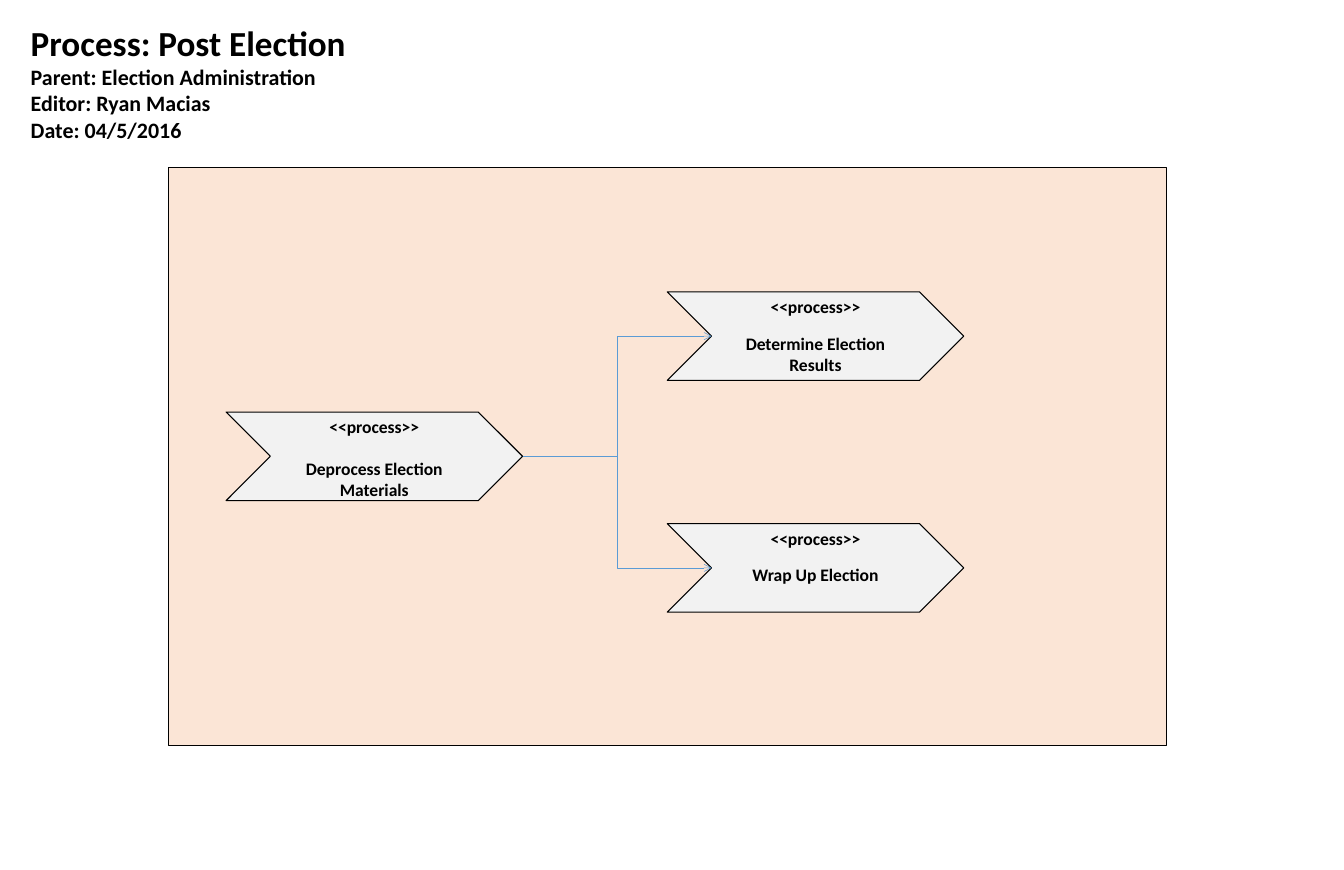
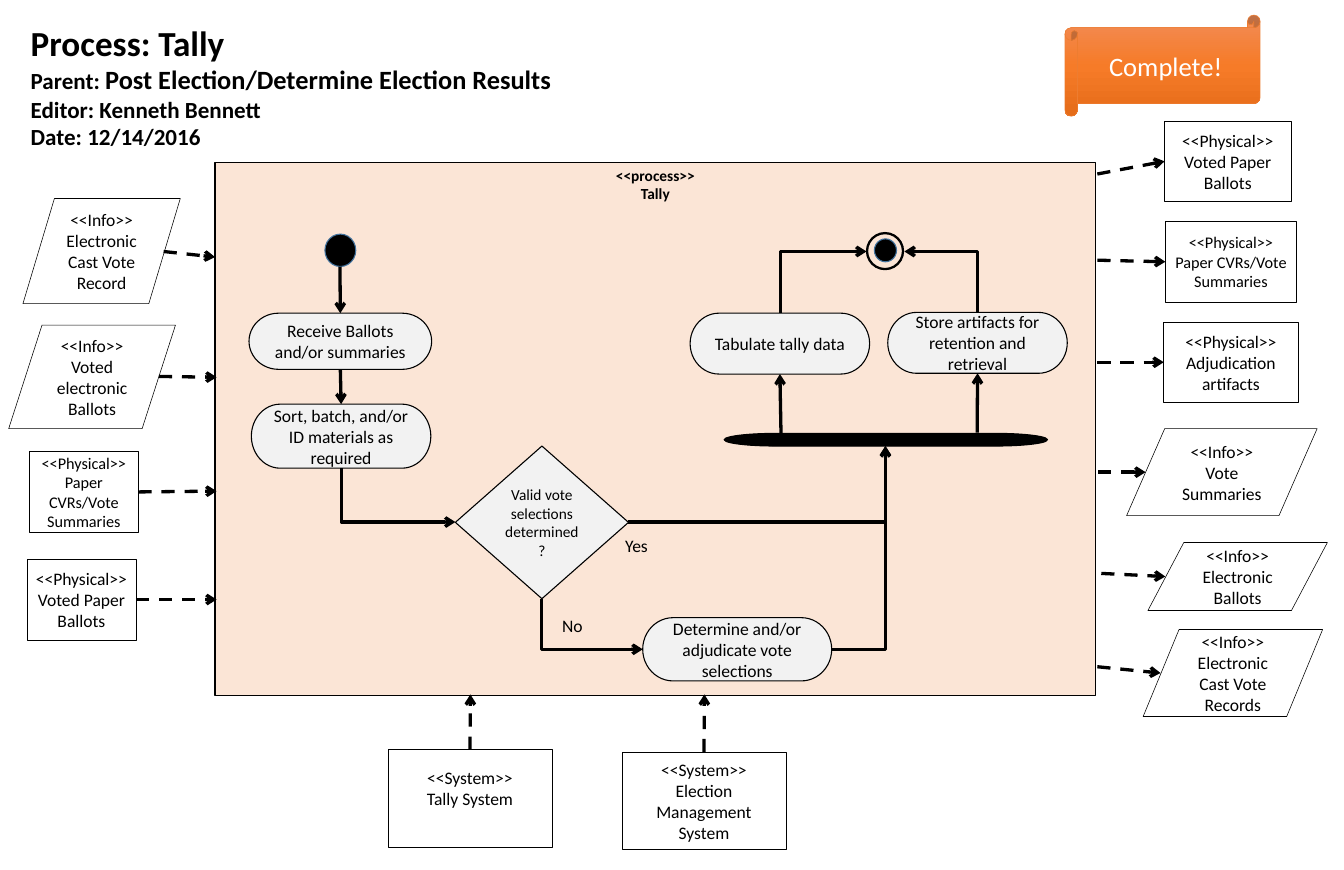
import copy
import dataclasses

import lxml.etree
import pptx
import pptx.dml.color
import pptx.enum.dml
import pptx.enum.shapes
import pptx.enum.text
import pptx.oxml.ns
import pptx.util

SHAPE = pptx.enum.shapes.MSO_SHAPE
CONNECTOR = pptx.enum.shapes.MSO_CONNECTOR
ALIGN = pptx.enum.text.PP_ALIGN
ANCHOR = pptx.enum.text.MSO_ANCHOR
TOP, LEFT, BOTTOM, RIGHT = range(4)
ROUND_LEFT, ROUND_RIGHT = 2, 6
qn = pptx.oxml.ns.qn


@dataclasses.dataclass(frozen=True)
class Theme:
    font: str = "Calibri"
    ink: str = "000000"
    white: str = "FFFFFF"
    panel: str = "FBE5D6"
    step: str = "F2F2F2"
    link: str = "5B9BD5"
    dot: str = "43739E"
    badge_line: str = "ED7D31"
    badge: tuple = ((0, "F18C57"), (0.5, "F67B28"), (1, "E56C19"))
    title: float = 32
    parent: float = 24
    badge_size: float = 24.2
    detail: float = 21
    subtitle: float = 20
    body: float = 16
    tight: float = 14.8
    small: float = 14
    thin: float = 0.5
    outline: float = 1
    flow: float = 3


class Deck:
    columns, rows = 17, 11

    def __init__(self, prs, theme):
        self.prs, self.theme = prs, theme
        self.slide = None

    def new_slide(self):
        self.slide = self.prs.slides.add_slide(self.prs.slide_layouts[6])

    def grid(self, *lengths):
        units = (self.prs.slide_width / self.columns, self.prs.slide_height / self.rows)
        return [round(n * units[i % 2]) for i, n in enumerate(lengths)]

    def color(self, value):
        return pptx.dml.color.RGBColor.from_string(value)

    def style(self, p, size, bold=False, color=None, align=ALIGN.CENTER):
        p.alignment = align
        p.font.name = self.theme.font
        p.font.size = pptx.util.Pt(size)
        p.font.bold = bold
        p.font.color.rgb = self.color(color or self.theme.ink)

    def put_text(self, sp, lines, size, anchor=ANCHOR.MIDDLE, insets=(0.1, 0.05), **look):
        tf = sp.text_frame
        tf.word_wrap = True
        tf.vertical_anchor = anchor
        tf.margin_left = tf.margin_right = pptx.util.Inches(insets[0])
        tf.margin_top = tf.margin_bottom = pptx.util.Inches(insets[1])
        for i, line in enumerate(lines):
            p = tf.add_paragraph() if i else tf.paragraphs[0]
            p.text = line
            self.style(p, size, **look)
        return tf

    def shape(self, kind, at, fill=None, line=None, width=None):
        sp = self.slide.shapes.add_shape(kind, *self.grid(*at))
        sp.shadow.inherit = False
        if fill:
            sp.fill.solid()
            sp.fill.fore_color.rgb = self.color(fill)
        else:
            sp.fill.background()
        sp.line.color.rgb = self.color(line or self.theme.ink)
        sp.line.width = pptx.util.Pt(width or self.theme.outline)
        return sp

    def heading(self, title, details, size):
        sp = self.slide.shapes.add_textbox(*self.grid(0.29, 0.22, 15.6, 1.7))
        tf = self.put_text(sp, [title], self.theme.title, ANCHOR.TOP, bold=True, align=ALIGN.LEFT)
        for detail in details:
            p = tf.add_paragraph()
            self.style(p, size, bold=True, align=ALIGN.LEFT)
            if isinstance(detail, str):
                p.text = detail
                continue
            for text, run_size in detail:
                r = p.add_run()
                r.text = text
                r.font.size = pptx.util.Pt(run_size)

    def label(self, at, text):
        sp = self.slide.shapes.add_textbox(*self.grid(*at))
        self.put_text(sp, [text], self.theme.body, ANCHOR.TOP)

    def panel(self, at, lines=()):
        sp = self.shape(SHAPE.RECTANGLE, at, self.theme.panel)
        self.put_text(sp, lines, self.theme.small, ANCHOR.TOP, bold=True)

    def process(self, left, top, name, gap):
        sp = self.shape(SHAPE.CHEVRON, (left, top, 3.75, 1.12), self.theme.step)
        tf = self.put_text(sp, ["<<process>>", name], self.theme.body, ANCHOR.TOP, bold=True)
        tf.paragraphs[1].space_before = pptx.util.Pt(gap)
        return sp

    def step(self, at, text):
        sp = self.shape(SHAPE.FLOWCHART_TERMINATOR, at, self.theme.step)
        self.put_text(sp, [text], self.theme.body)
        return sp

    def decision(self, at, text):
        sp = self.shape(SHAPE.FLOWCHART_DECISION, at, self.theme.step)
        self.put_text(sp, [text], self.theme.small, insets=(0.05, 0.05))
        return sp

    def resource(self, at, stereotype, name, size=None, insets=(0.1, 0.05)):
        kind = SHAPE.FLOWCHART_DATA if stereotype == "Info" else SHAPE.FLOWCHART_PROCESS
        sp = self.shape(kind, at, width=self.theme.thin)
        self.put_text(sp, [f"<<{stereotype}>>", name], size or self.theme.body, insets=insets)
        return sp

    def dot(self, at):
        self.shape(SHAPE.FLOWCHART_CONNECTOR, at, self.theme.ink, self.theme.dot)

    def end_mark(self):
        ring = self.shape(SHAPE.DONUT, (10.96, 2.94, 0.47, 0.47), self.theme.ink)
        ring.adjustments[0] = 0.032
        self.dot((11.06, 3.02, 0.28, 0.29))
        return ring

    def badge(self, at, text):
        sp = self.shape(SHAPE.HORIZONTAL_SCROLL, at, line=self.theme.badge_line, width=self.theme.thin)
        sp.fill.gradient()
        sp.fill.gradient_angle = 270
        stops = sp._element.spPr.find(".//" + qn("a:gsLst"))
        stops.append(copy.deepcopy(stops[0]))
        for stop, (position, color) in zip(sp.fill.gradient_stops, self.theme.badge):
            stop.position = position
            stop.color.rgb = self.color(color)
        self.put_text(sp, [text], self.theme.badge_size, color=self.theme.white)

    def connector(self, kind, begin, end, color, width, dash=False):
        c = self.slide.shapes.add_connector(kind, *self.grid(*begin, *end))
        c.line.color.rgb = self.color(color)
        c.line.width = pptx.util.Pt(width)
        if dash:
            c.line.dash_style = pptx.enum.dml.MSO_LINE.DASH
        spPr = c._element.spPr
        lxml.etree.SubElement(spPr.find(qn("a:ln")), qn("a:tailEnd"), type="arrow")
        lxml.etree.SubElement(spPr, qn("a:effectLst"))
        return c

    def arrow(self, begin, end, dash=False, source=None, target=None):
        c = self.connector(CONNECTOR.STRAIGHT, begin, end, self.theme.ink, self.theme.flow, dash)
        if source:
            c.begin_connect(*source)
        if target:
            c.end_connect(*target)

    def elbow(self, begin, end, source, target, first=None):
        if first == "down":
            dx, dy = end[0] - begin[0], end[1] - begin[1]
            mx, my = begin[0] + dx / 2, begin[1] + dy / 2
            begin, end = (mx - dy / 2, my + dx / 2), (mx + dy / 2, my - dx / 2)
        color, width = (self.theme.ink, self.theme.flow) if first else (self.theme.link, self.theme.thin)
        c = self.connector(CONNECTOR.ELBOW, begin, end, color, width)
        spPr = c._element.spPr
        if first:
            spPr.find(qn("a:prstGeom")).set("prst", "bentConnector2")
        if first == "down":
            spPr.find(qn("a:xfrm")).set("rot", "5400000")
        joints = c._element.nvCxnSpPr.cNvCxnSpPr
        for tag, (sp, site) in (("a:stCxn", source), ("a:endCxn", target)):
            lxml.etree.SubElement(joints, qn(tag), id=str(sp.shape_id), idx=str(site))


def post_election(deck):
    deck.new_slide()
    deck.heading("Process: Post Election",
                 ["Parent: Election Administration", "Editor: Ryan Macias", "Date: 04/5/2016"],
                 deck.theme.subtitle)
    deck.panel((2.13, 2.12, 12.62, 7.31))
    results = deck.process(8.44, 3.69, "Determine Election Results", 14.4)
    wrap_up = deck.process(8.44, 6.62, "Wrap Up Election", 14.4)
    deprocess = deck.process(2.86, 5.21, "Deprocess Election Materials", 19.2)
    for sp, y in ((results, 4.25), (wrap_up, 7.18)):
        deck.elbow((6.61, 5.77), (9, y), (deprocess, RIGHT), (sp, LEFT))


def tally(deck):
    theme = deck.theme
    deck.new_slide()
    deck.heading("Process: Tally",
                 [[("Parent: ", theme.detail), ("Post Election/Determine Election Results", theme.parent)],
                  "Editor: Kenneth Bennett", "Date: 12/14/2016"], theme.detail)
    deck.panel((2.72, 2.05, 11.14, 6.74), ["<<process>>", "Tally"])

    deck.dot((4.11, 2.96, 0.39, 0.41))
    ring = deck.end_mark()
    receive = deck.step((3.15, 3.96, 2.31, 0.71), "Receive Ballots and/or summaries")
    sort = deck.step((3.18, 5.11, 2.27, 0.81), "Sort, batch, and/or ID materials as required")
    valid = deck.decision((5.76, 5.64, 2.19, 1.93), "Valid vote selections determined?")
    adjudicate = deck.step((8.13, 7.81, 2.39, 0.8), "Determine and/or adjudicate vote selections")
    bar = deck.shape(SHAPE.FLOWCHART_TERMINATOR, (9.16, 5.48, 4.09, 0.16), theme.ink)
    tabulate = deck.step((8.73, 3.96, 2.27, 0.77), "Tabulate tally data")
    store = deck.step((11.23, 3.95, 2.27, 0.77), "Store artifacts for retention and retrieval")
    deck.label((6.9, 7.73, 0.68, 0.37), "No")
    deck.label((7.71, 6.72, 0.68, 0.37), "Yes")

    deck.arrow((4.3, 3.37), (4.3, 3.96), target=(receive, TOP))
    deck.arrow((4.3, 4.67), (4.32, 5.11), source=(receive, BOTTOM), target=(sort, TOP))
    deck.arrow((9.88, 5.54), (9.87, 4.73), target=(tabulate, BOTTOM))
    deck.arrow((12.36, 5.47), (12.36, 4.72), target=(store, BOTTOM))
    deck.elbow((4.32, 5.92), (5.76, 6.6), (sort, BOTTOM), (valid, LEFT), "down")
    deck.elbow((6.85, 7.57), (8.13, 8.21), (valid, BOTTOM), (adjudicate, LEFT), "down")
    deck.elbow((9.87, 3.96), (10.96, 3.18), (tabulate, TOP), (ring, ROUND_LEFT), "down")
    deck.elbow((12.36, 3.95), (11.44, 3.18), (store, TOP), (ring, ROUND_RIGHT), "down")
    deck.elbow((7.94, 6.6), (11.2, 5.64), (valid, RIGHT), (bar, BOTTOM), "across")
    deck.elbow((10.53, 8.21), (11.2, 5.64), (adjudicate, RIGHT), (bar, BOTTOM), "across")

    paper = "Paper CVRs/Vote Summaries"
    for at, name, size, y in (((0.37, 5.71, 1.38, 1.02), paper, theme.tight, 6.21),
                              ((0.34, 7.07, 1.38, 1.02), "Voted Paper Ballots", theme.body, 7.58)):
        sp = deck.resource(at, "Physical", name, size)
        deck.arrow((at[0] + at[2], y), (2.74, y), True, source=(sp, RIGHT))
    for at, name, begin, end in (
            ((0.29, 2.51, 1.99, 1.33), "Electronic Cast Vote Record", (2.07, 3.18), (2.72, 3.25)),
            ((0.11, 4.11, 2.11, 1.31), "Voted electronic Ballots", (2.01, 4.76), (2.74, 4.77))):
        deck.resource(at, "Info", name)
        deck.arrow(begin, end, True)

    for at, name, size, y in (((14.73, 1.53, 1.6, 1.02), "Voted Paper Ballots", theme.body, 2.2),
                              ((14.74, 2.8, 1.66, 1.02), paper, theme.tight, 3.29),
                              ((14.72, 4.07, 1.7, 1.02), "Adjudication artifacts", theme.body, 4.58)):
        sp = deck.resource(at, "Physical", name, size)
        deck.arrow((13.88, y), (at[0], y), True, target=(sp, LEFT))
    wide = (0.16, 0.08)
    for at, name, insets, begin, end in (
            ((14.25, 5.42, 2.41, 1.1), "Vote Summaries", wide, (13.89, 5.97), (14.49, 5.97)),
            ((14.52, 6.86, 2.27, 0.86), "Electronic Ballots", wide, (13.93, 7.25), (14.74, 7.29)),
            ((14.46, 7.96, 2.27, 1.1), "Electronic Cast Vote Records", (0.1, 0.05),
             (13.88, 8.43), (14.68, 8.51))):
        deck.resource(at, "Info", name, insets=insets)
        deck.arrow(begin, end, True)

    tally_system = deck.resource((4.91, 9.48, 2.07, 1.23), "System", "Tally System")
    tally_system.text_frame.margin_bottom = pptx.util.Inches(0.32)
    management = deck.resource((7.87, 9.51, 2.07, 1.23), "System", "Election Management System")
    for sp, x in ((tally_system, 5.95), (management, 8.91)):
        deck.arrow((x, 9.5), (x, 8.78), True, source=(sp, TOP))
    deck.badge((13.47, 0.19, 2.47, 1.28), "Complete!")


def main():
    prs = pptx.Presentation()
    prs.slide_width = pptx.util.Inches(17)
    prs.slide_height = pptx.util.Inches(11)
    deck = Deck(prs, Theme())
    post_election(deck)
    tally(deck)
    prs.save("out.pptx")


if __name__ == "__main__":
    main()
